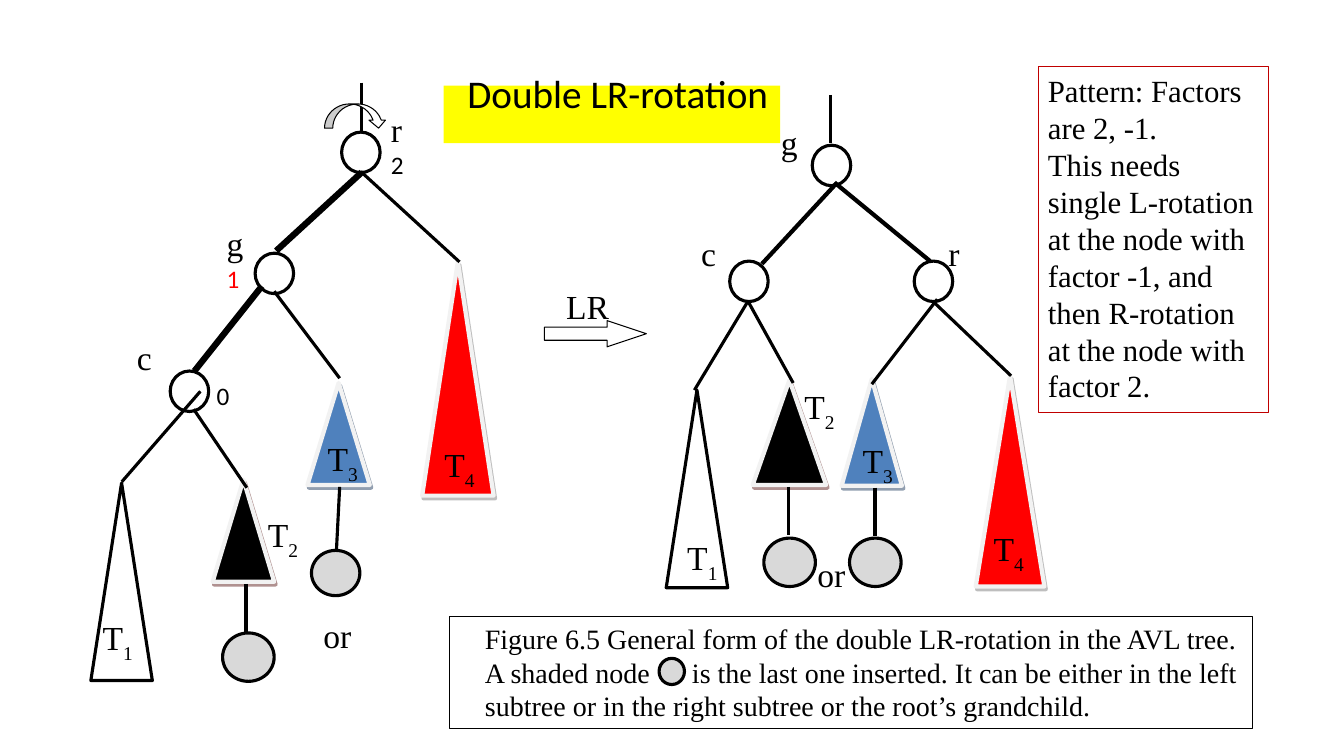
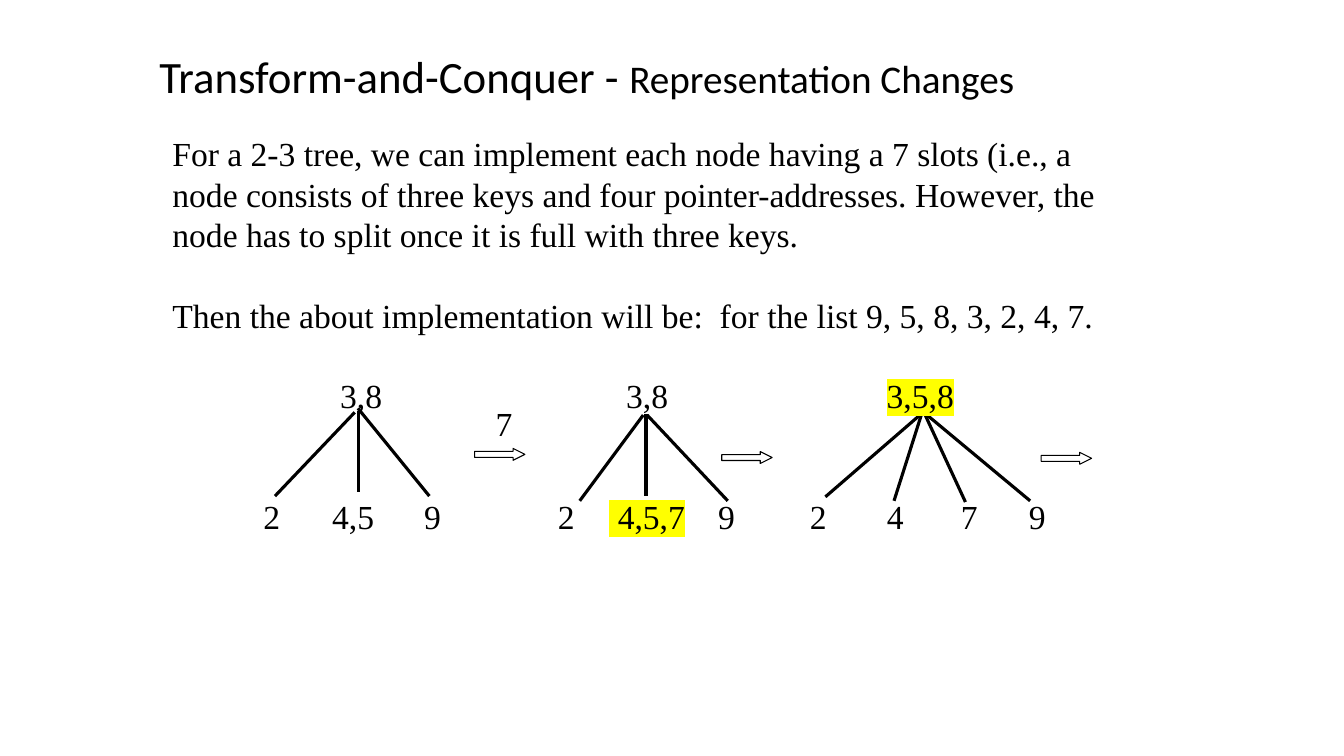
from lxml.etree import SubElement
from pptx import Presentation
from pptx.dml.color import RGBColor
from pptx.enum.shapes import MSO_CONNECTOR, MSO_SHAPE as SHAPE
from pptx.enum.text import MSO_ANCHOR as ANCHOR, MSO_AUTO_SIZE as AUTO_SIZE, PP_ALIGN as ALIGN
from pptx.oxml.ns import qn
from pptx.util import Cm, Pt

BLACK = RGBColor(0x00, 0x00, 0x00)
WHITE = RGBColor(0xFF, 0xFF, 0xFF)
RED = RGBColor(0xFF, 0x00, 0x00)
DARK_RED = RGBColor(0xC0, 0x00, 0x00)
BLUE = RGBColor(0x4F, 0x81, 0xBD)
YELLOW = RGBColor(0xFF, 0xFF, 0x00)
SHADED = RGBColor(0xD9, 0xD9, 0xD9)
PALE = RGBColor(0xF2, 0xF2, 0xF2)
BROWN_SHADOW = RGBColor(0x62, 0x24, 0x23)
BLUE_SHADOW = RGBColor(0x24, 0x3F, 0x60)
GREY_SHADOW = RGBColor(0x7F, 0x7F, 0x7F)
SERIF, SANS = "Times New Roman", "Calibri"


def write(frame, text, size=24, font=SERIF, color=BLACK, align=ALIGN.LEFT,
          new=False, subscript=False, highlight=None):
    """Append a run to the last paragraph of a frame, or to a new one."""
    frame.word_wrap = True
    frame.auto_size = AUTO_SIZE.NONE
    paragraph = frame.add_paragraph() if new else frame.paragraphs[-1]
    paragraph.alignment = align
    run = paragraph.add_run()
    run.text = text
    run.font.size, run.font.name = Pt(size), font
    run.font.color.rgb = color
    props = run.font._element
    if subscript:
        props.set("baseline", "-30000")
    if highlight:
        mark = SubElement(props, qn("a:highlight"))
        SubElement(mark, qn("a:srgbClr"), val=str(highlight))
        props.find(qn("a:latin")).addprevious(mark)
    return paragraph


def draw(slide, kind, box, fill=None, line=BLACK, width=2.25, adjust=()):
    """Add a preset shape; box is left, top, width and height in cm."""
    shape = slide.shapes.add_shape(kind, *map(Cm, box))
    shape.shadow.inherit = False
    if fill is None:
        shape.fill.background()
    else:
        shape.fill.solid()
        shape.fill.fore_color.rgb = fill
    if line is None:
        shape.line.fill.background()
    else:
        shape.line.color.rgb = line
        shape.line.width = Pt(width)
    for i, value in enumerate(adjust):
        shape.adjustments[i] = value
    shape.text_frame.vertical_anchor = ANCHOR.TOP
    return shape


prs = Presentation()
prs.slide_width, prs.slide_height = Cm(33.87), Cm(19.05)
rotation = prs.slides.add_slide(prs.slide_layouts[5])
changes = prs.slides.add_slide(prs.slide_layouts[1])

# Titles
title_runs = [
    (rotation, (11.38, 1.6, 8.28, 1.5), [("\u0020Double LR-rotation".strip(), 28)]),
    (changes, (3.76, 1.09, 24, 1.63),
     [("Transform-and-Conquer - ", 32), ("Representation Changes", 28)]),
]
for slide, box, runs in title_runs:
    title = slide.shapes.title
    title.left, title.top, title.width, title.height = map(Cm, box)
    title.text_frame.vertical_anchor = ANCHOR.MIDDLE
    for text, size in runs:
        write(title.text_frame, text, size=size, font=SANS)
rotation.shapes.title.text_frame.margin_left = Cm(0.4)
band = draw(rotation, SHAPE.RECTANGLE, (11.18, 2.16, 8.48, 1.45), YELLOW, None)
rotation.shapes.title.element.addprevious(band.element)

# Subtrees with a hard shadow
subtrees = [
    ((5.36, 12.09, 1.55, 2.57), BLACK, BROWN_SHADOW),
    ((7.75, 9.65, 1.57, 2.57), BLUE, BLUE_SHADOW),
    ((10.64, 6.6, 1.8, 5.89), RED, GREY_SHADOW),
    ((18.97, 9.58, 1.85, 2.64), BLACK, BROWN_SHADOW),
    ((21.21, 9.55, 1.52, 2.69), BLUE, BLUE_SHADOW),
    ((24.59, 9.47, 1.73, 5.31), RED, GREY_SHADOW),
]
for box, fill, shade in subtrees:
    subtree = draw(rotation, SHAPE.FLOWCHART_EXTRACT, box, fill, PALE, 3)
    effects = subtree.element.spPr.find(qn("a:effectLst"))
    shadow = SubElement(effects, qn("a:outerShdw"), dist=str(Pt(2.2)),
                        dir="3800000", algn="ctr", rotWithShape="0")
    shade_color = SubElement(shadow, qn("a:srgbClr"), val=str(shade))
    SubElement(shade_color, qn("a:alpha"), val="50000")

# White subtrees T1
for left, top in [(2.29, 12.17), (16.79, 9.83)]:
    draw(rotation, SHAPE.FLOWCHART_EXTRACT, (left, top, 1.55, 4.98), WHITE)

# Tree nodes, then the shaded last inserted ones
for left, top in [(8.61, 3.33), (6.43, 6.38), (4.29, 9.35),
                  (20.47, 3.66), (18.39, 6.58), (23.04, 6.58)]:
    draw(rotation, SHAPE.FLOWCHART_CONNECTOR, (left, top, 0.97, 1.02), WHITE)
for box in [(5.61, 15.95, 1.3, 1.22), (7.85, 13.87, 1.22, 1.14),
            (19.25, 13.56, 1.3, 1.22), (21.41, 13.56, 1.3, 1.22),
            (16.61, 16.59, 0.64, 0.66)]:
    draw(rotation, SHAPE.FLOWCHART_CONNECTOR, box, SHADED)

# Edges of all trees, by line width
edges = [
    (rotation, 4.5, [(6.6, 7.21, 4.9, 9.35), (9.12, 4.34, 6.96, 6.32)]),
    (rotation, 3, [(21.03, 4.6, 23.44, 6.58), (21.08, 4.62, 19.2, 6.65)]),
    (rotation, 2.25, [
        (9.12, 2.08, 9.12, 3.35), (9.09, 4.32, 11.58, 6.6),
        (6.91, 7.34, 8.56, 9.53), (5.05, 9.86, 3.07, 12.14),
        (4.88, 10.31, 6.22, 12.29), (6.2, 14.71, 6.2, 15.93),
        (8.56, 12.27, 8.48, 13.84), (20.93, 2.39, 20.93, 3.61),
        (18.85, 7.59, 17.5, 9.83), (18.85, 7.59, 19.99, 9.65),
        (23.62, 7.54, 21.97, 9.68), (23.57, 7.65, 25.48, 9.47),
        (19.86, 12.27, 19.86, 13.49), (22.05, 12.29, 22.05, 13.51)]),
    (changes, 2.25, [
        (8.94, 10.39, 6.93, 12.5), (9.04, 10.36, 9.04, 12.4),
        (9.02, 10.29, 10.82, 12.5), (16.21, 10.46, 14.61, 12.62),
        (16.28, 10.44, 16.28, 12.5), (16.31, 10.46, 18.34, 12.62),
        (23.24, 10.41, 20.8, 12.52), (23.24, 10.39, 22.53, 12.62),
        (23.27, 10.36, 24.33, 12.65), (23.22, 10.34, 25.96, 12.62)]),
]
for slide, width, ends in edges:
    for points in ends:
        edge = slide.shapes.add_connector(MSO_CONNECTOR.STRAIGHT, *map(Cm, points))
        edge.line.color.rgb = BLACK
        edge.line.width = Pt(width)
        SubElement(edge.element.spPr, qn("a:effectLst"))

# Block arrows
draw(rotation, SHAPE.RIGHT_ARROW, (13.72, 8.08, 2.57, 0.66), WHITE,
     width=0.75, adjust=(0.5, 1.5))
draw(rotation, SHAPE.CURVED_DOWN_ARROW, (8.18, 2.62, 1.57, 0.61), WHITE,
     width=0.75, adjust=(0.34, 0.68, 0.33))
for left, top in [(11.96, 11.3), (18.19, 11.38), (26.24, 11.4)]:
    draw(changes, SHAPE.RIGHT_ARROW, (left, top, 1.27, 0.3), WHITE,
         width=0.75, adjust=(0.5, 1))

# Labels of the rotation: text, subscript, left, top
rotation_labels = [
    ("c", "", 3.2, 8.36), ("c", "", 17.42, 5.74), ("g", "", 19.43, 2.95),
    ("r", "", 23.65, 5.74), ("or", "", 7.9, 15.37), ("or", "", 20.35, 13.84),
    ("LR", "", 14.02, 7.09), ("T", "1", 2.34, 15.42), ("T", "1", 17.07, 13.41),
    ("T", "2", 6.5, 12.83), ("T", "2", 20.02, 9.6), ("T", "3", 8.01, 10.92),
    ("T", "3", 21.49, 10.95), ("T", "4", 10.95, 11.07), ("T", "4", 24.79, 13.18),
]
for text, index, left, top in rotation_labels:
    label = rotation.shapes.add_textbox(Cm(left), Cm(top), Cm(1.6), Cm(1.27)).text_frame
    write(label, text)
    if index:
        write(label, index, subscript=True)

# Balance factors, under the node name where there is one
for name, factor, color, left, top in [("r", "2", BLACK, 9.6, 2.62),
                                       ("g", "1", RED, 5.46, 5.49),
                                       ("", "0", BLACK, 5.21, 9.45)]:
    balance = rotation.shapes.add_textbox(Cm(left), Cm(top), Cm(1.1), Cm(2.06)).text_frame
    if name:
        write(balance, name)
    write(balance, factor, size=18, font=SANS, color=color, new=bool(name))

# Pattern note
pattern = draw(rotation, SHAPE.RECTANGLE, (26.16, 1.68, 5.82, 8.71),
               line=DARK_RED, width=0.75).text_frame
write(pattern, "Pattern: Factors are 2, -1.", size=22)
write(pattern, "This needs single L-rotation at the node with factor -1, and then "
      "R-rotation at the node with factor 2.", size=22, new=True)

# Figure caption, with a tab that leaves room for the shaded node
caption = draw(rotation, SHAPE.RECTANGLE, (11.33, 15.54, 20.24, 2.82),
               width=0.75).text_frame
caption.margin_left = Cm(0.89)
paragraph = write(caption, "Figure 6.5 General form of the double LR-rotation in the AVL "
                  "tree. A shaded node\tis the last one inserted. It can be either in the "
                  "left subtree or in the right subtree or the root’s grandchild.", size=20)
tabs = SubElement(paragraph._p.get_or_add_pPr(), qn("a:tabLst"))
SubElement(tabs, qn("a:tab"), pos=str(Cm(5.22)), algn="l")

# Explanation of the 2-3 tree
body = changes.placeholders[1]
body.left, body.top, body.width, body.height = Cm(4.09), Cm(3.23), Cm(24.1), Cm(5.6)
explanation = [
    "For a 2-3 tree, we can implement each node having a 7 slots (i.e., a node consists of "
    "three keys and four pointer-addresses. However, the node has to split once it is full "
    "with three keys.",
    "Then the about implementation will be:  for the list 9, 5, 8, 3, 2, 4, 7.",
]
for i, text in enumerate(explanation):
    paragraph = write(body.text_frame, text, new=i > 0)
    paragraph.space_before = Pt(29 * i)
    props = paragraph._p.get_or_add_pPr()
    props.set("marL", "0")
    props.set("indent", "0")
    SubElement(props, qn("a:buNone"))

# Keys of the 2-3 trees: row top, then text, centre and highlight
key_rows = [
    (9.33, [("3,8", 9.1, None), ("3,8", 16.31, None), ("3,5,8", 23.19, YELLOW)]),
    (10.03, [("7", 12.7, None)]),
    (12.38, [("2", 6.85, None), ("4,5", 8.9, None), ("9", 10.9, None),
             ("2", 14.27, None), (" 4,5,7", 16.31, YELLOW), ("9", 18.31, None),
             ("2", 20.62, None), ("4", 22.56, None), ("7", 24.43, None),
             ("9", 26.14, None)]),
]
KEY_WIDTH = 2.2
for top, keys in key_rows:
    for text, centre, highlight in keys:
        key = changes.shapes.add_textbox(Cm(centre - KEY_WIDTH / 2), Cm(top),
                                         Cm(KEY_WIDTH), Cm(1.27)).text_frame
        key.margin_left = key.margin_right = 0
        write(key, text, align=ALIGN.CENTER, highlight=highlight)

prs.save("out.pptx")
